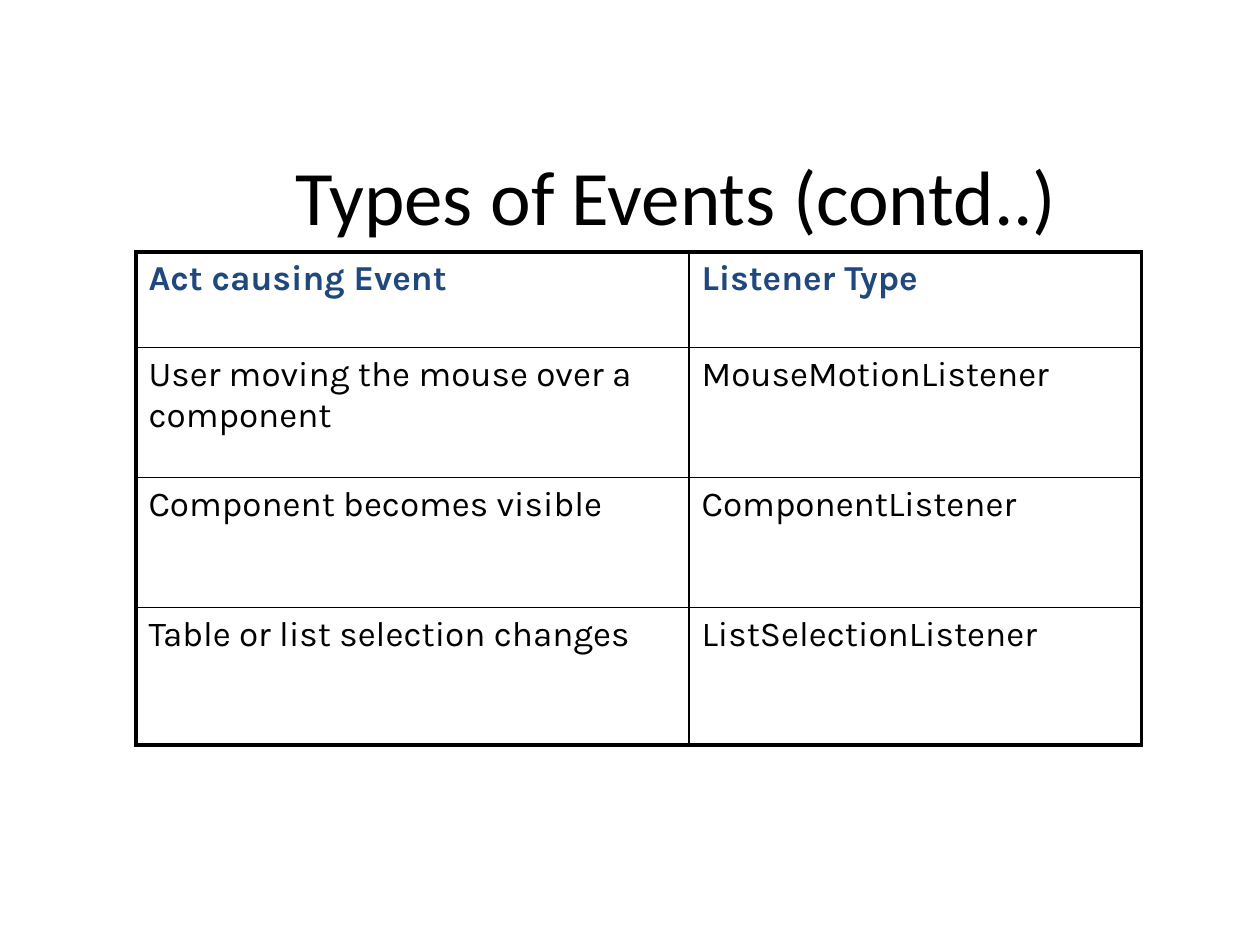
from dataclasses import dataclass

from lxml import etree
from pptx import Presentation
from pptx.dml.color import RGBColor
from pptx.enum.text import MSO_ANCHOR, PP_ALIGN
from pptx.oxml.ns import qn
from pptx.util import Cm, Pt

CENTER, LEFT = PP_ALIGN.CENTER, PP_ALIGN.LEFT
MIDDLE, TOP = MSO_ANCHOR.MIDDLE, MSO_ANCHOR.TOP


@dataclass(frozen=True)
class Theme:
    ink: str = "000000"
    head: str = "1F497D"
    paper: str = "FFFFFF"
    title_font: str = "Calibri"
    body_font: str = "Karla"
    title_size: float = 44
    body_size: float = 20
    outer: float = 2.25
    inner: float = 1


@dataclass(frozen=True)
class Event:
    act: str
    listener: str
    height: float


THEME = Theme()
WIDTHS = (11.15, 9.12)
EVENTS = (
    Event("Act causing Event", "Listener Type", 1.93),
    Event("User moving the mouse over a component", "MouseMotionListener", 2.62),
    Event("Component becomes visible", "ComponentListener", 2.62),
    Event("Table or list selection changes", "ListSelectionListener", 2.77),
)


def write(frame, text: str, *, font: str, size: float, color: str,
          bold: bool = False, align=LEFT) -> None:
    frame.word_wrap = True
    para = frame.paragraphs[0]
    para.alignment = align
    run = para.add_run()
    run.text = text
    run.font.name = font
    run.font.size = Pt(size)
    run.font.bold = bold
    run.font.color.rgb = RGBColor.from_string(color)


def edge(cell, sides: dict[str, bool]) -> None:
    """Draw the cell's borders; a true side lies on the table's outline."""
    props = cell._tc.get_or_add_tcPr()
    for spot, (side, outer) in enumerate(sides.items()):
        width = THEME.outer if outer else THEME.inner
        line = etree.Element(qn(f"a:ln{side}"), w=str(Pt(width)))
        fill = etree.SubElement(line, qn("a:solidFill"))
        etree.SubElement(fill, qn("a:srgbClr"), val=THEME.ink)
        props.insert(spot, line)


def add_title(slide, text: str) -> None:
    box = slide.shapes.add_textbox(Cm(2.84), Cm(2.54), Cm(21.59), Cm(2.77))
    box.text_frame.vertical_anchor = MIDDLE
    write(box.text_frame, text, font=THEME.title_font,
          size=THEME.title_size, color=THEME.ink, align=CENTER)


def add_events(slide, events: tuple[Event, ...]) -> None:
    last_row, last_col = len(events) - 1, len(WIDTHS) - 1
    table = slide.shapes.add_table(
        len(events), len(WIDTHS), Cm(2.74), Cm(5.08),
        Cm(sum(WIDTHS)), Cm(sum(event.height for event in events))).table
    for col, width in zip(table.columns, WIDTHS):
        col.width = Cm(width)
    for r, event in enumerate(events):
        table.rows[r].height = Cm(event.height)
        head = r == 0
        for c, text in enumerate((event.act, event.listener)):
            cell = table.cell(r, c)
            cell.vertical_anchor = TOP
            cell.fill.solid()
            cell.fill.fore_color.rgb = RGBColor.from_string(THEME.paper)
            write(cell.text_frame, text, font=THEME.body_font,
                  size=THEME.body_size, bold=head,
                  color=THEME.head if head else THEME.ink)
            edge(cell, {"L": c == 0, "R": c == last_col,
                        "T": head, "B": r == last_row})


def main() -> None:
    deck = Presentation()
    deck.slide_width, deck.slide_height = Cm(25.4), Cm(19.05)
    slide = deck.slides.add_slide(deck.slide_layouts[6])
    add_title(slide, "Types of Events (contd..)")
    add_events(slide, EVENTS)
    deck.save("out.pptx")


if __name__ == "__main__":
    main()
